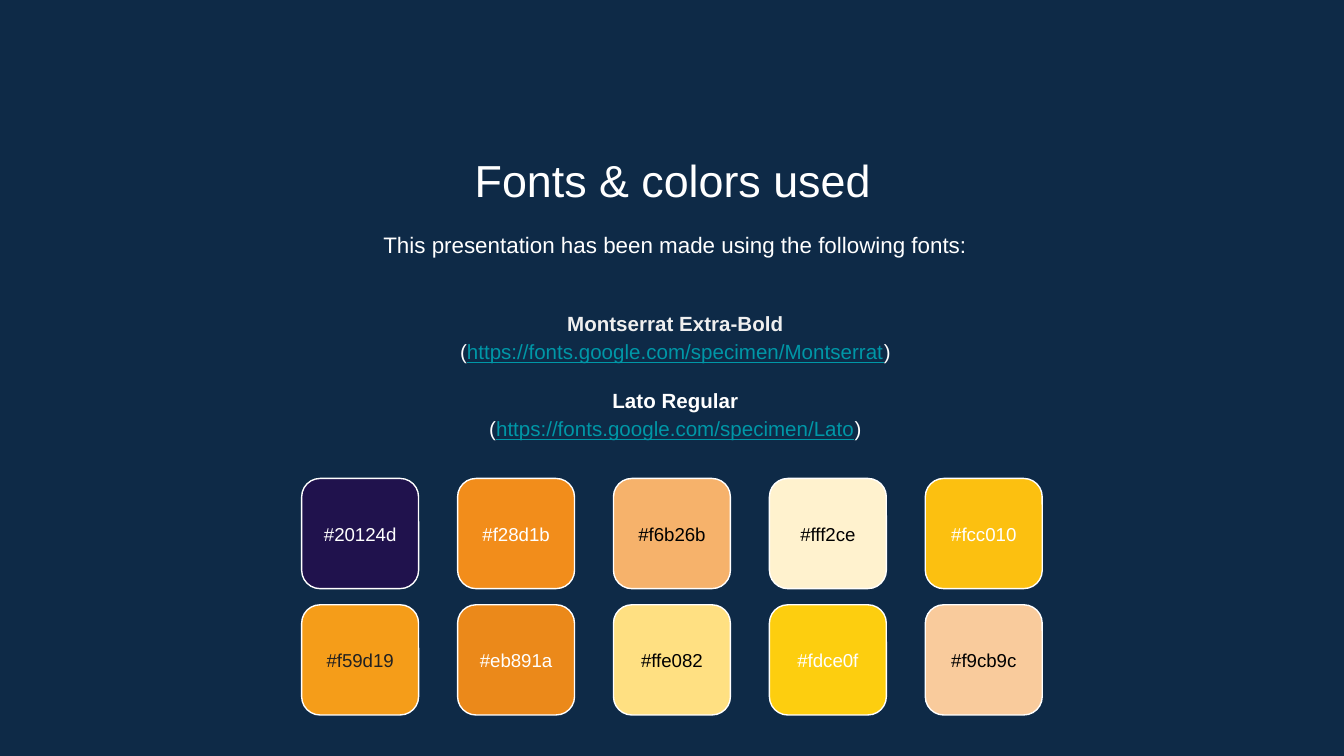
from pptx import Presentation
from pptx.dml.color import RGBColor
from pptx.enum.shapes import MSO_SHAPE
from pptx.enum.text import MSO_ANCHOR, PP_ALIGN
from pptx.util import Inches, Pt

COLORS = {
    "background": "0E2A47",
    "white": "FFFFFF",
    "pale": "EFEFEF",
    "link": "0097A7",
    "black": "000000",
    "charcoal": "212121",
}
FONT = "Arial"

TITLE = "Fonts & colors used"
INTRO = "This presentation has been made using the following fonts:"
# Font name, colour of the name, address
FONTS_USED = [
    ("Montserrat Extra-Bold", "pale", "https://fonts.google.com/specimen/Montserrat"),
    ("Lato Regular", "white", "https://fonts.google.com/specimen/Lato"),
]
# Rows of swatches: hex code, colour of its label
SWATCHES = [
    [("#20124d", "white"), ("#f28d1b", "white"), ("#f6b26b", "black"),
     ("#fff2ce", "black"), ("#fcc010", "white")],
    [("#f59d19", "charcoal"), ("#eb891a", "white"), ("#ffe082", "black"),
     ("#fdce0f", "white"), ("#f9cb9c", "black")],
]

SLIDE_W = 10
SLIDE_H = SLIDE_W * 9 / 16
TEXT_W = 7.71
SWATCH_W, SWATCH_H, LABEL_H = 0.87, 0.82, 0.48
COL_STEP, ROW_STEP, GRID_TOP = 1.16, 0.94, 3.56
GRID_LEFT = (SLIDE_W - COL_STEP * (len(SWATCHES[0]) - 1) - SWATCH_W) / 2


def rgb(name):
    return RGBColor.from_string(COLORS[name])


def add_box(slide, left, top, width, height, anchor=MSO_ANCHOR.TOP):
    """Add a wrapping text box with equal insets and return its text frame."""
    box = slide.shapes.add_textbox(*map(Inches, (left, top, width, height)))
    tf = box.text_frame
    tf.word_wrap = True
    tf.vertical_anchor = anchor
    tf.margin_left = tf.margin_right = tf.margin_top = tf.margin_bottom = Inches(0.1)
    return tf


def write(p, runs, size, spacing=None):
    """Fill a centred paragraph with (text, colour, bold, underline) runs."""
    p.alignment = PP_ALIGN.CENTER
    p.line_spacing = spacing
    for text, color, bold, underline in runs:
        r = p.add_run()
        r.text = text
        r.font.name = FONT
        r.font.size = Pt(size)
        r.font.bold = bold
        r.font.underline = underline
        r.font.color.rgb = rgb(color)


def add_font_list(slide):
    tf = add_box(slide, 1.17, 2.1, TEXT_W, 1.37, MSO_ANCHOR.MIDDLE)
    for i, (name, color, address) in enumerate(FONTS_USED):
        p = tf.add_paragraph() if i else tf.paragraphs[0]
        if i:
            p.space_before = Pt(11)
        write(p, [(name, color, True, False)], 11, 1.15)
        write(tf.add_paragraph(), [("(", "white", False, False),
                                   (address, "link", False, True),
                                   (")", "white", False, False)], 11, 1.15)


def add_swatch(slide, left, top, code, label_color):
    sp = slide.shapes.add_shape(
        MSO_SHAPE.ROUNDED_RECTANGLE, *map(Inches, (left, top, SWATCH_W, SWATCH_H)))
    sp.shadow.inherit = False
    sp.fill.solid()
    sp.fill.fore_color.rgb = RGBColor.from_string(code[1:].upper())
    sp.line.color.rgb = rgb("white")
    sp.line.width = Pt(0.75)
    label_top = top + (SWATCH_H - LABEL_H) / 2
    tf = add_box(slide, left, label_top, SWATCH_W, LABEL_H, MSO_ANCHOR.MIDDLE)
    write(tf.paragraphs[0], [(code, label_color, False, False)], 10)


def main():
    prs = Presentation()
    prs.slide_width, prs.slide_height = Inches(SLIDE_W), Inches(SLIDE_H)
    slide = prs.slides.add_slide(prs.slide_layouts[6])
    slide.background.fill.solid()
    slide.background.fill.fore_color.rgb = rgb("background")

    title = add_box(slide, 1.15, 1.04, TEXT_W, 0.53)
    write(title.paragraphs[0], [(TITLE, "white", False, False)], 24)
    intro = add_box(slide, 1.17, 1.59, TEXT_W, 0.48)
    write(intro.paragraphs[0], [(INTRO, "white", False, False)], 12, 1.15)
    add_font_list(slide)

    for row, swatches in enumerate(SWATCHES):
        for col, (code, label_color) in enumerate(swatches):
            add_swatch(slide, GRID_LEFT + col * COL_STEP, GRID_TOP + row * ROW_STEP,
                       code, label_color)
    prs.save("out.pptx")


if __name__ == "__main__":
    main()
